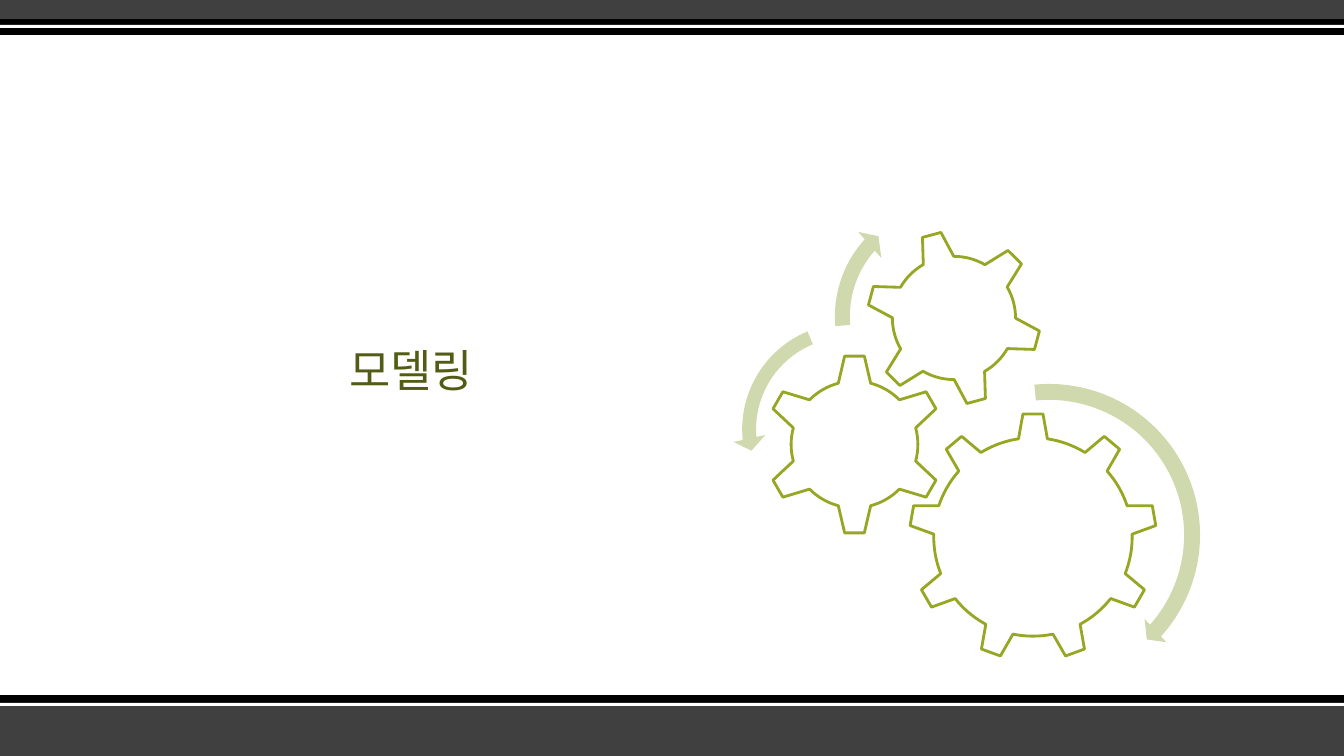
from lxml import etree
from pptx import Presentation
from pptx import util as u
from pptx.dml.color import RGBColor
from pptx.enum import shapes, text
from pptx.oxml.ns import qn

SLIDE_WIDTH, SLIDE_HEIGHT = 1344, 756
EMU_PER_PX = 914400 / 100.8
FONT = "Noto Sans CJK KR"
COLOURS = {
    "band": "404040",
    "black": "000000",
    "white": "FFFFFF",
    "title": "535C14",
    "gear": "97A623",
    "arrow": "D0D8AD",
}
KIND = shapes.MSO_SHAPE


def px(length):
    return u.Emu(round(length * EMU_PER_PX))


def colour(name):
    return RGBColor.from_string(COLOURS[name])


def add_filled(group, kind, box, fill):
    shape = group.shapes.add_shape(kind, *map(px, box))
    shape.shadow.inherit = False
    shape.fill.solid()
    shape.fill.fore_color.rgb = colour(fill)
    shape.line.fill.background()
    return shape


def add_bands(slide, bands):
    """Group full-width bands, each given as top, height and fill."""
    group = slide.shapes.add_group_shape()
    for top, height, fill in bands:
        add_filled(group, KIND.RECTANGLE, (0, top, SLIDE_WIDTH, height), fill)


def add_gear(group, kind, left, top, size, rotation=0):
    gear = add_filled(group, kind, (left, top, size, size), "white")
    gear.line.color.rgb = colour("gear")
    gear.line.width = u.Pt(2)
    gear.rotation = rotation


def add_turn_arrow(group, kind, left, top, size, adjustments):
    arrow = add_filled(group, kind, (left, top, size, size), "arrow")
    for index, value in enumerate(adjustments):
        arrow.adjustments[index] = value


def set_title(slide, wording):
    title = slide.shapes.title
    title.left, title.top, title.width, title.height = map(px, (339, 259, 445, 143))
    frame = title.text_frame
    frame.word_wrap = True
    frame.auto_size = text.MSO_AUTO_SIZE.NONE
    frame.vertical_anchor = text.MSO_ANCHOR.BOTTOM
    paragraph = frame.paragraphs[0]
    paragraph.alignment = text.PP_ALIGN.LEFT
    paragraph.line_spacing = 0.9
    run = paragraph.add_run()
    run.text = wording
    run.font.size = u.Pt(32)
    run.font.name = FONT
    run.font.color.rgb = colour("title")
    east_asian = etree.SubElement(run.font._element, qn("a:ea"))
    east_asian.set("typeface", FONT)


def add_gears(slide):
    group = slide.shapes.add_group_shape()
    add_gear(group, KIND.GEAR_9, 909, 413, 248)
    add_gear(group, KIND.GEAR_6, 764, 354, 181)
    add_gear(group, KIND.GEAR_6, 866, 230, 176, rotation=345)
    add_turn_arrow(group, KIND.CIRCULAR_ARROW, 890, 376, 318,
                   (0.05, 2.99, 25.14, 158.67, 0.05))
    add_turn_arrow(group, KIND.LEFT_CIRCULAR_ARROW, 733, 314, 231,
                   (0.06, 4.3, 104.89, 148.38, 0.07))
    add_turn_arrow(group, KIND.CIRCULAR_ARROW, 825, 192, 249,
                   (0.06, 3.94, 133.14, 105.08, 0.07))


def main():
    presentation = Presentation()
    presentation.slide_width = px(SLIDE_WIDTH)
    presentation.slide_height = px(SLIDE_HEIGHT)
    slide = presentation.slides.add_slide(presentation.slide_layouts[5])
    add_bands(slide, [(706, 50, "band"), (695, 11, "black"), (703, 3, "white")])
    add_bands(slide, [(0, 19, "band"), (19, 16, "black"), (25, 3, "white")])
    set_title(slide, "모델링")
    add_gears(slide)
    presentation.save("out.pptx")


if __name__ == "__main__":
    main()
